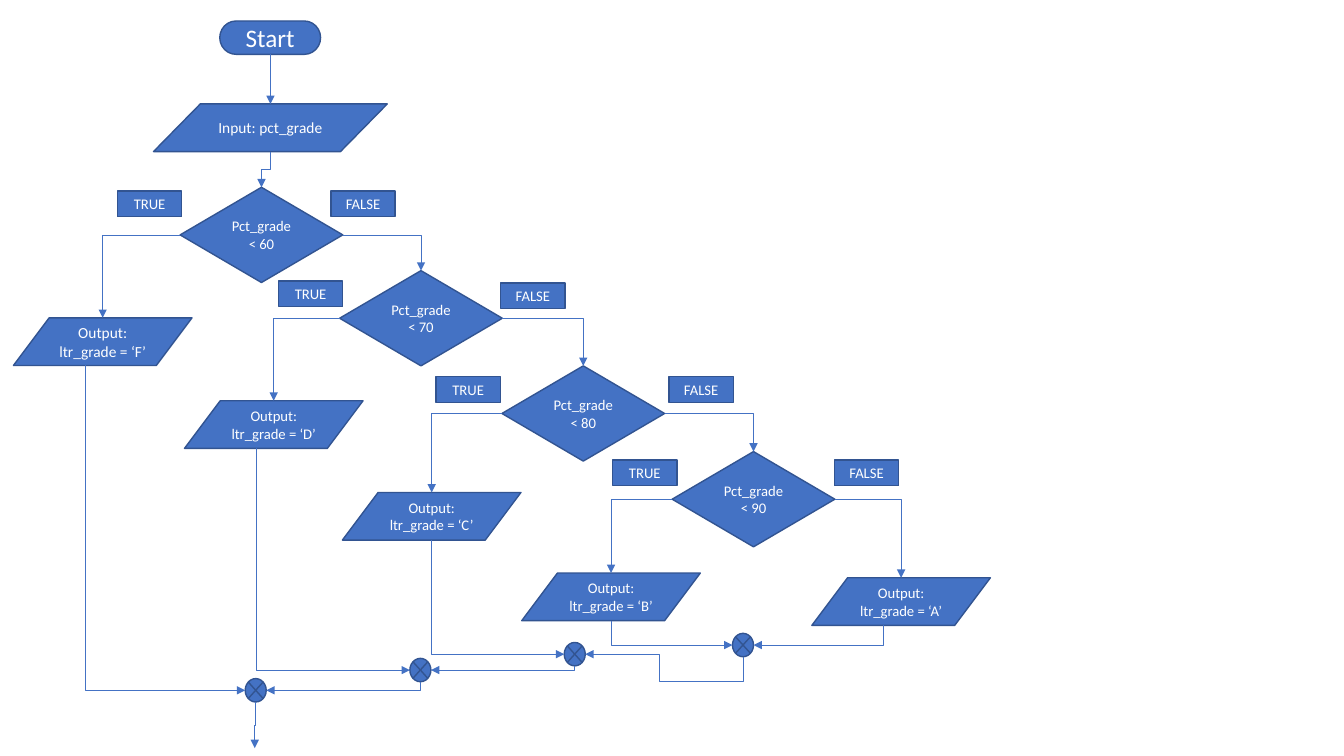
from lxml.etree import SubElement
from pptx import Presentation
from pptx.dml.color import RGBColor
from pptx.enum.shapes import MSO_CONNECTOR as Link, MSO_SHAPE as Shape
from pptx.enum.text import MSO_ANCHOR as Anchor, PP_ALIGN as Align
from pptx.oxml.ns import qn
from pptx.util import Cm, Pt

COLORS = {"fill": "4472C4", "outline": "325491", "text": "FFFFFF"}

# Connection sites: side -> (index, share of width, share of height)
FOUR_SITES = {"top": (0, .5, 0), "left": (1, 0, .5),
              "bottom": (2, .5, 1), "right": (3, 1, .5)}
SITES = {
    Shape.FLOWCHART_TERMINATOR: FOUR_SITES,
    Shape.FLOWCHART_DECISION: FOUR_SITES,
    Shape.FLOWCHART_DATA: {"top": (1, .5, 0), "bottom": (4, .5, 1),
                           "bottom left": (3, .4, 1)},
    Shape.FLOWCHART_SUMMING_JUNCTION: {"top": (0, .5, 0), "left": (2, 0, .5),
                                       "bottom": (4, .5, 1), "right": (6, 1, .5)},
}


def color(name):
    return RGBColor.from_string(COLORS[name])


def write(shape, text, size=10.5, font="Calibri", ink="text"):
    frame = shape.text_frame
    frame.word_wrap = True
    frame.vertical_anchor = Anchor.MIDDLE
    frame.margin_left = frame.margin_right = Cm(0.2)
    para = frame.paragraphs[0]
    para.alignment = Align.CENTER
    span = para.add_run()
    span.text = text
    span.font.size = Pt(size)
    span.font.name = font
    span.font.color.rgb = color(ink)


class Flowchart:
    def __init__(self, page):
        self.page = page

    def step(self, kind, left, top, width, height, text="", **style):
        box = self.page.shapes.add_shape(kind, Cm(left), Cm(top), Cm(width), Cm(height))
        box.shadow.inherit = False
        box.fill.solid()
        box.fill.fore_color.rgb = color("fill")
        box.line.color.rgb = color("outline")
        box.line.width = Pt(1)
        if text:
            write(box, text, **style)
        return box

    def data(self, left, top, text, width=4.5, **style):
        return self.step(Shape.FLOWCHART_DATA, left, top, width, 1.2, text, **style)

    def decision(self, left, top, text):
        return self.step(Shape.FLOWCHART_DECISION, left, top, 4.1, 2.4, text)

    def label(self, left, top, text):
        return self.step(Shape.FLOWCHART_PROCESS, left, top, 1.62, 0.65, text)

    def junction(self, left, top):
        return self.step(Shape.FLOWCHART_SUMMING_JUNCTION, left, top, 0.53, 0.59)

    def arrow(self, start, start_side, end, end_side=None, detour=None):
        """Bent arrow between two sites; without end_side, end is a point."""
        x1, y1, start_site = self.site(start, start_side)
        x2, y2, end_site = self.site(end, end_side) if end_side else (*end, None)
        ends = x1, y1, x2, y2
        angle = 0
        if start_side.startswith("bottom"):
            # Leaving downwards: lay the connector flat, then turn it
            angle = 90 if x2 < x1 else 270
            run, rise = y2 - y1, abs(x2 - x1)
            if angle == 270:
                run = -run
            middle_x, middle_y = (x1 + x2) // 2, (y1 + y2) // 2
            ends = (middle_x - run // 2, middle_y - rise // 2,
                    middle_x + run // 2, middle_y + rise // 2)
        line = self.page.shapes.add_connector(Link.ELBOW, *ends)
        line.line.color.rgb = color("fill")
        line.line.width = Pt(0.5)

        # Bends, turn, arrowhead and no shadow
        element = line._element
        props = element.spPr
        geometry = props.find(qn("a:prstGeom"))
        if detour:
            geometry.set("prst", "bentConnector4")
            shares = ((Cm(detour[1]) - y1) / (y2 - y1), (Cm(detour[0]) - x1) / (x2 - x1))
            guides = geometry.find(qn("a:avLst"))
            for number, share in enumerate(shares, 1):
                SubElement(guides, qn("a:gd"), name=f"adj{number}",
                           fmla=f"val {round(share * 100000)}")
        elif end_side and not (start_side == "bottom" and end_side == "top"):
            geometry.set("prst", "bentConnector2")
        if angle:
            props.find(qn("a:xfrm")).set("rot", str(angle * 60000))
        SubElement(props.find(qn("a:ln")), qn("a:tailEnd"), type="triangle")
        SubElement(props, qn("a:effectLst"))

        # Attach the ends to their shapes
        links = element.nvCxnSpPr.cNvCxnSpPr
        for tag, shape, site in (("a:stCxn", start, start_site), ("a:endCxn", end, end_site)):
            if site is not None:
                SubElement(links, qn(tag), id=str(shape.shape_id), idx=str(site))

    def site(self, shape, side):
        index, across, down = SITES[shape.auto_shape_type][side]
        return (shape.left + round(shape.width * across),
                shape.top + round(shape.height * down), index)


def main():
    deck = Presentation()
    deck.slide_width, deck.slide_height = Cm(33.87), Cm(19.05)
    chart = Flowchart(deck.slides.add_slide(deck.slide_layouts[6]))

    # Start and input
    start = chart.step(Shape.FLOWCHART_TERMINATOR, 5.54, 0.53, 2.54, 0.84, "Start", size=18)
    entry = chart.data(3.87, 2.62, "Input: pct_grade", width=5.89, size=11)

    # Decisions, from the lowest limit to the highest
    places = [(4.54, 4.72), (8.56, 6.82), (12.65, 9.22), (16.94, 11.38)]
    decisions = [chart.decision(*place, f"Pct_grade < {limit}")
                 for place, limit in zip(places, range(60, 100, 10))]

    # Outputs, one per letter grade
    grades = {"F": (0.34, 8.01), "D": (4.65, 10.1), "C": (8.63, 12.41),
              "B": (13.15, 14.44), "A": (20.46, 14.56)}
    outputs = [chart.data(*place, f"Output: ltr_grade = ‘{grade}’",
                          size=11 if grade == "F" else 10.5)
               for grade, place in grades.items()]

    # Branch labels
    labels = {"TRUE": [(2.96, 4.81), (7.02, 7.08), (10.99, 9.49), (15.44, 11.59)],
              "FALSE": [(8.34, 4.81), (12.62, 7.13), (16.86, 9.49), (21.03, 11.59)]}
    for text, spots in labels.items():
        for spot in spots:
            chart.label(*spot, text)

    # Junctions where the branches meet again
    junctions = [chart.junction(*spot) for spot in
                 [(6.18, 17.1), (10.33, 16.59), (14.22, 16.19), (18.46, 15.96)]]

    # Arrows down through the decisions
    chart.arrow(start, "bottom", entry, "top")
    chart.arrow(entry, "bottom", decisions[0], "top")
    for decision, output, other in zip(decisions, outputs, decisions[1:] + outputs[-1:]):
        chart.arrow(decision, "left", output, "top")
        chart.arrow(decision, "right", other, "top")

    # Arrows back together
    exits = ["bottom left", "bottom left", "bottom", "bottom"]
    for output, side, junction in zip(outputs, exits, junctions):
        chart.arrow(output, side, junction, "left")
    sources = junctions[1:] + outputs[-1:]
    exits = ["bottom", "bottom", "bottom", "bottom left"]
    detours = [None, None, (16.62, 17.17), None]
    for source, side, junction, detour in zip(sources, exits, junctions, detours):
        chart.arrow(source, side, junction, "right", detour)
    chart.arrow(junctions[0], "bottom", (Cm(6.42), Cm(18.85)))

    deck.save("out.pptx")


if __name__ == "__main__":
    main()
